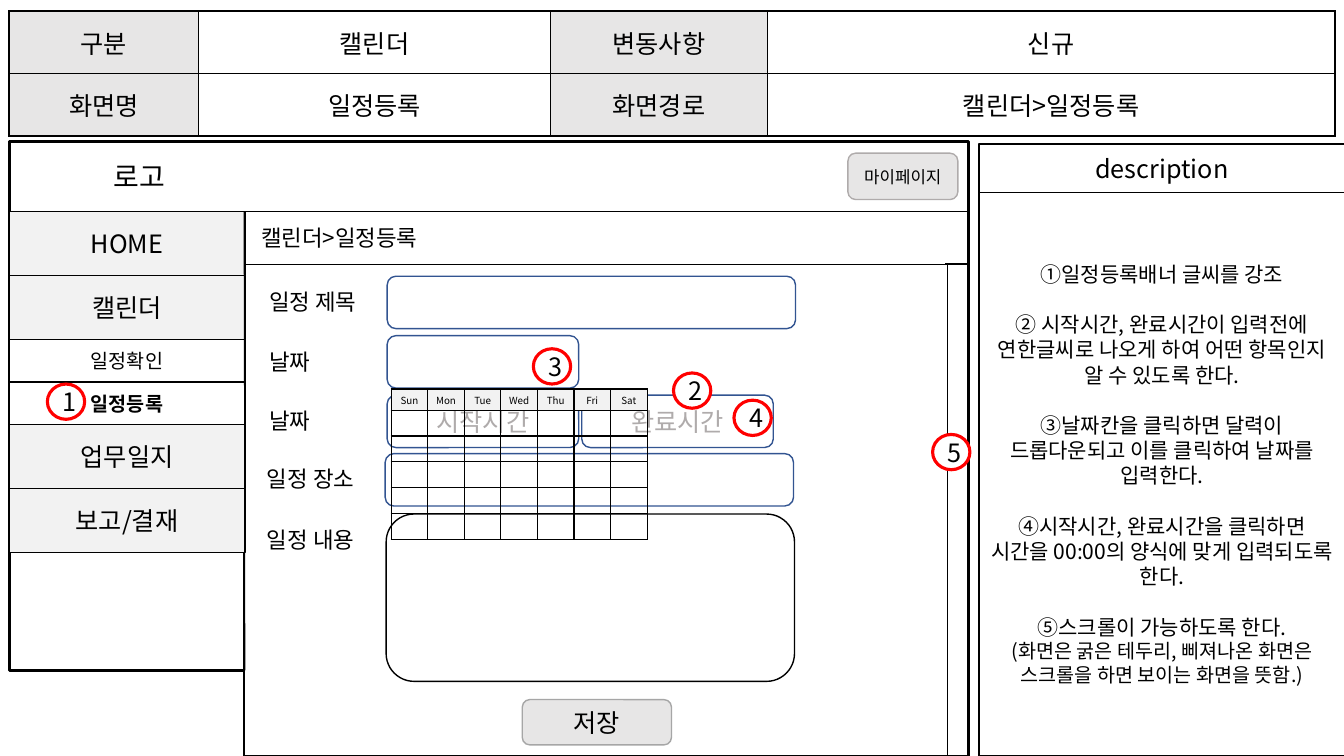
from dataclasses import dataclass
from typing import Optional

from lxml.etree import SubElement
from pptx import Presentation
from pptx.dml.color import RGBColor
from pptx.enum.shapes import MSO_CONNECTOR, MSO_SHAPE as Shape
from pptx.enum.text import MSO_ANCHOR as Anchor, MSO_AUTO_SIZE, PP_ALIGN as Align
from pptx.oxml.ns import qn
from pptx.util import Inches, Pt

FONT = "Noto Sans CJK KR"
BLACK = RGBColor(0, 0, 0)
WHITE = RGBColor(0xFF, 0xFF, 0xFF)
RED = RGBColor(0xFF, 0, 0)
BLUE = RGBColor(0x32, 0x54, 0x91)
PALE = RGBColor(0xF2, 0xF2, 0xF2)
SILVER = RGBColor(0xE7, 0xE6, 0xE6)
HINT = RGBColor(0xAF, 0xAB, 0xAB)
EDGE = RGBColor(0xA6, 0xA6, 0xA6)


@dataclass
class Box:
    left: float
    top: float
    width: float
    height: float
    text: str = ""
    size: float = 18
    kind: Shape = Shape.RECTANGLE
    fill: Optional[RGBColor] = WHITE
    line: Optional[RGBColor] = BLACK
    weight: float = 1
    color: RGBColor = BLACK
    bold: bool = False
    align: Align = Align.CENTER
    anchor: Anchor = Anchor.MIDDLE


def apply(target, values: dict) -> None:
    for name, value in values.items():
        setattr(target, name, value)


def write(para, text: str, size: float, color: RGBColor = BLACK,
          bold: bool = False, align: Align = Align.CENTER) -> None:
    para.alignment = align
    span = para.add_run()
    span.text = text
    apply(span.font, {"name": FONT, "size": Pt(size), "bold": bold})
    span.font.color.rgb = color
    SubElement(span.font._element, qn("a:ea"), typeface=FONT)


def paint(shape, fill: Optional[RGBColor], line: Optional[RGBColor], weight: float) -> None:
    if fill is None:
        shape.fill.background()
    else:
        shape.fill.solid()
        shape.fill.fore_color.rgb = fill
    if line is None:
        shape.line.fill.background()
    else:
        shape.line.color.rgb = line
        shape.line.width = Pt(weight)


def place(shape, box: Box) -> None:
    for name in ("left", "top", "width", "height"):
        setattr(shape, name, Inches(getattr(box, name)))


def draw(page, box: Box) -> None:
    shape = page.shapes.add_shape(box.kind, 0, 0, 0, 0)
    place(shape, box)
    shape.shadow.inherit = False
    paint(shape, box.fill, box.line, box.weight)
    if box.text:
        apply(shape.text_frame, {"word_wrap": True, "vertical_anchor": box.anchor})
        write(shape.text_frame.paragraphs[0], box.text, box.size, box.color, box.bold, box.align)


def draw_label(page, left: float, top: float, width: float, height: float,
               text: str, size: float) -> None:
    label = page.shapes.add_textbox(*map(Inches, (left, top, width, height)))
    label.text_frame.word_wrap = True
    write(label.text_frame.paragraphs[0], text, size, align=Align.LEFT)


def draw_line(page, x1: float, y1: float, x2: float, y2: float) -> None:
    line = page.shapes.add_connector(MSO_CONNECTOR.STRAIGHT, *map(Inches, (x1, y1, x2, y2)))
    line.line.color.rgb = BLACK
    line.line.width = Pt(0.5)
    SubElement(line._element.spPr, qn("a:effectLst"))


def border(cell) -> None:
    props = cell._tc.get_or_add_tcPr()
    for index, side in enumerate(("lnL", "lnR", "lnT", "lnB")):
        edge = SubElement(props, qn("a:" + side), w=str(Pt(1)))
        SubElement(SubElement(edge, qn("a:solidFill")), qn("a:srgbClr"), val=str(BLACK))
        props.insert(index, edge)


def draw_table(page, left: float, top: float, widths: list, heights: list,
               rows: list, fill_at, size: float, values: dict) -> None:
    frame = page.shapes.add_table(len(heights), len(widths), *map(
        Inches, (left, top, sum(widths), sum(heights))))
    table = frame.table
    apply(table, {"first_row": False, "horz_banding": False})
    for column, width in zip(table.columns, widths):
        column.width = Inches(width)
    for r, (row, height) in enumerate(zip(table.rows, heights)):
        row.height = Inches(height)
        for c, cell in enumerate(row.cells):
            apply(cell, values)
            fill = fill_at(r, c)
            if fill is None:
                cell.fill.background()
            else:
                cell.fill.solid()
                cell.fill.fore_color.rgb = fill
            border(cell)
            para = cell.text_frame.paragraphs[0]
            if rows[r][c]:
                write(para, rows[r][c], size)
            else:
                SubElement(para._p, qn("a:endParaRPr"), sz=str(int(size * 100)))


def fill_placeholder(page, holder, box: Box, paras: list, values: dict) -> None:
    """paras holds (text, size, space before) tuples."""
    page.shapes._spTree.append(holder._element)
    place(holder, box)
    paint(holder, box.fill, box.line, box.weight)
    frame = holder.text_frame
    apply(frame, {"word_wrap": True, "auto_size": MSO_AUTO_SIZE.NONE,
                  "vertical_anchor": Anchor.MIDDLE, **values})
    for index, (text, size, before) in enumerate(paras):
        para = frame.add_paragraph() if index else frame.paragraphs[0]
        write(para, text, size, align=box.align)
        apply(para, {"space_before": Pt(before), "line_spacing": Pt(size * 1.2)})
        props = para._p.get_or_add_pPr()
        props.set("marL", "0")
        props.set("indent", "0")
        SubElement(props, qn("a:buNone"))


deck = Presentation()
deck.slide_width, deck.slide_height = Inches(13.33), Inches(7.5)
page = deck.slides.add_slide(deck.slide_layouts[1])
title, body = page.placeholders

# Screen frame, content panel and breadcrumb
draw(page, Box(0.09, 1.4, 9.52, 5.25, fill=None, weight=2.25))
draw(page, Box(2.42, 2.62, 7.19, 4.88))
fill_placeholder(page, title, Box(2.43, 2.09, 6.94, 0.53, line=WHITE, align=Align.LEFT),
                 [("캘린더>일정등록", 16, 0)], {"margin_left": Inches(0.16)})

# Header table
draw_table(page, 0.09, 0.11, [1.88, 3.49, 2.15, 5.63], [0.62] * 2,
           [["구분", "캘린더", "변동사항", "신규"],
            ["화면명", "일정등록", "화면경로", "캘린더>일정등록"]],
           lambda r, c: None if c % 2 else SILVER, 18, {"vertical_anchor": Anchor.MIDDLE})

# Side menu
draw_label(page, 1.03, 1.53, 0.82, 0.44, "로고", 20)
top = 2.1
for text, is_sub, bold in [("HOME", False, False), ("캘린더", False, False),
                           ("일정확인", True, False), ("일정등록", True, True),
                           ("업무일지", False, False), ("보고/결재", False, False)]:
    height = 0.42 if is_sub else 0.635
    draw(page, Box(0.09, top, 2.34, height, text, 14 if is_sub else 18,
                   fill=WHITE if is_sub else PALE, bold=bold))
    top += height

# Description panel
notes = [("①일정등록배너 글씨를 강조", 15, 0),
         ("② 시작시간, 완료시간이 입력전에 연한글씨로 나오게 하여 어떤 항목인지 알 수 있도록 한다.", 15, 18),
         ("③날짜칸을 클릭하면 달력이 드롭다운되고 이를 클릭하여 날짜를 입력한다.", 15, 18),
         ("④시작시간, 완료시간을 클릭하면 시간을 00:00의 양식에 맞게 입력되도록 한다.", 15, 18),
         ("⑤스크롤이 가능하도록 한다.", 15, 18),
         ("(화면은 굵은 테두리, 삐져나온 화면은 스크롤을 하면 보이는 화면을 뜻함.)", 14, 0)]
fill_placeholder(page, body, Box(9.71, 1.9, 3.63, 5.6), notes, {})
draw(page, Box(9.71, 1.43, 3.63, 0.48, "description"))

# Dividers
for ends in [(2.42, 2.1, 2.43, 6.65), (2.43, 2.62, 9.61, 2.62), (2.42, 2.1, 9.6, 2.1)]:
    draw_line(page, *ends)

# Form fields and buttons
ROUND = Shape.ROUNDED_RECTANGLE
for left, top, width, text in [(3.84, 2.74, 4.05, ""), (3.84, 3.33, 1.9, ""),
                               (3.84, 3.92, 1.9, "시작시간"), (5.77, 3.92, 1.9, "완료시간"),
                               (3.82, 4.5, 4.05, "")]:
    draw(page, Box(left, top, width, 0.52, text, kind=ROUND, line=BLUE, color=HINT))
draw(page, Box(3.83, 5.1, 4.05, 1.66, kind=ROUND))
draw(page, Box(5.18, 6.94, 1.48, 0.45, "저장", kind=ROUND, fill=SILVER, line=EDGE))
draw(page, Box(8.41, 1.52, 1.09, 0.46, "마이페이지", 12, ROUND, SILVER, HINT))
for left, top, text in [(2.57, 2.81, "일정 제목"), (2.57, 3.4, "날짜"), (2.57, 3.99, "날짜"),
                        (2.55, 4.57, "일정 장소"), (2.55, 5.17, "일정 내용")]:
    draw_label(page, left, top, 1.26, 0.37, text, 16)

# Scroll bar and numbered markers
draw(page, Box(9.4, 2.62, 0.2, 4.88))
markers = [(0.47, 3.81), (6.68, 3.7), (5.29, 3.46), (7.28, 3.97), (9.25, 4.31)]
for number, (left, top) in enumerate(markers, 1):
    draw(page, Box(left, top, 0.37, 0.35, str(number), kind=Shape.OVAL, line=RED, weight=2.25))

# Drop-down calendar
days = ["Sun", "Mon", "Tue", "Wed", "Thu", "Fri", "Sat"]
draw_table(page, 3.88, 3.86, [2.54 / 7] * 7, [0.21] + [0.256] * 5, [days] + [[""] * 7] * 5,
           lambda r, c: None if r else PALE, 7,
           {"margin_left": Inches(0.07), "margin_right": Inches(0.07),
            "margin_top": Inches(0.04), "margin_bottom": Inches(0.04)})

deck.save("out.pptx")
